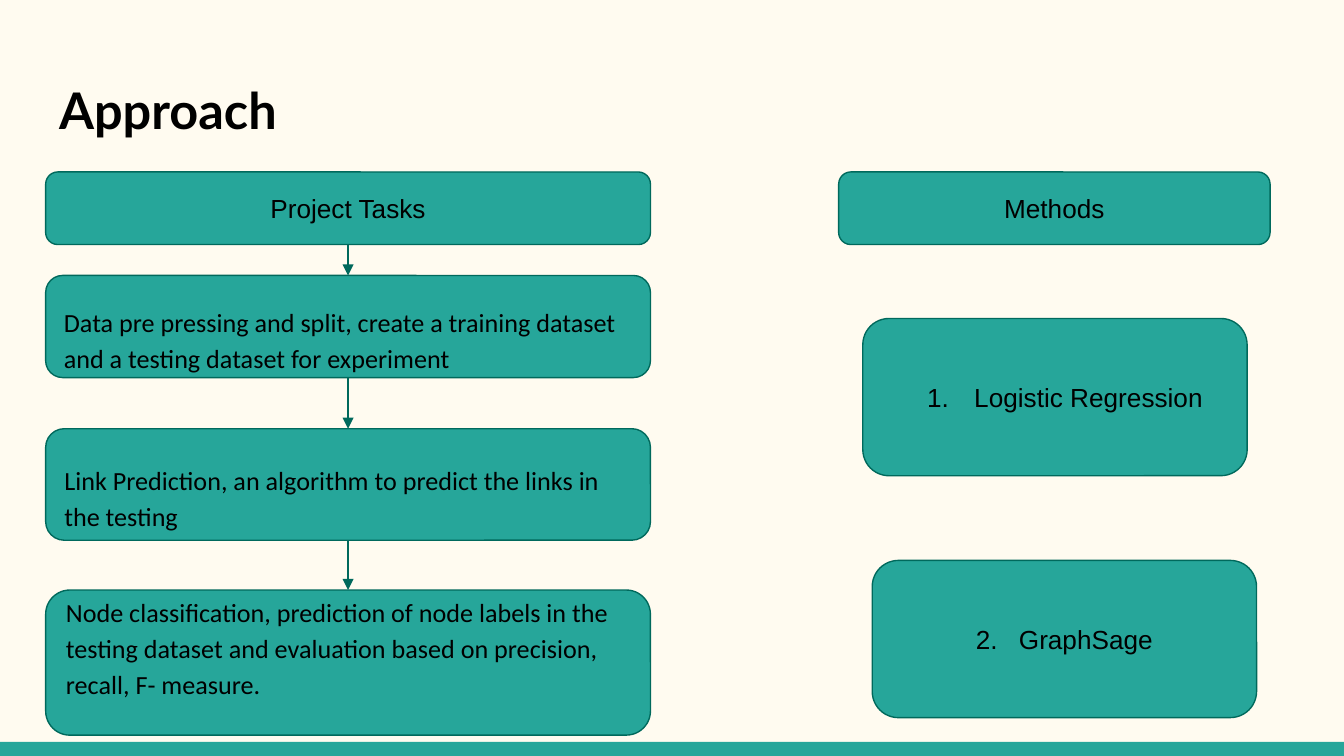
import pptx
import pptx.dml.color
import pptx.enum.shapes
import pptx.enum.text
import pptx.oxml.ns
import pptx.util
from lxml import etree

Inches = pptx.util.Inches
Pt = pptx.util.Pt
Align = pptx.enum.text.PP_ALIGN
Anchor = pptx.enum.text.MSO_ANCHOR
ShapeType = pptx.enum.shapes.MSO_SHAPE

COLORS = {
    "background": "FFFBF0",
    "teal": "26A69A",
    "outline": "00695C",
    "text": "000000",
}
TASK_LEFT, TASK_WIDTH = 0.34, 4.5
HEADER_TOP, HEADER_HEIGHT = 1.28, 0.54
TASKS = [
    (2.05, 0.76, 0.17, 0,
     "Data pre pressing and split, create a training dataset and a testing dataset for experiment"),
    (3.19, 0.83, 0.17, 0,
     "Link Prediction, an algorithm to predict the links in the testing"),
    (4.39, 1.08, 0, 0.25,
     "Node classification, prediction of node labels in the testing dataset and evaluation "
     "based on precision, recall, F- measure."),
]
METHODS = [
    (6.42, 2.37, 0.5, 0.35, "Logistic Regression"),
    (6.49, 4.17, 0.32, 0.32, "GraphSage"),
]


def rgb(name):
    return pptx.dml.color.RGBColor.from_string(COLORS[name])


def add_element(parent, tag, **attributes):
    return etree.SubElement(parent, pptx.oxml.ns.qn(tag), attributes)


def format_text(text_frame, font_name, size, align, anchor, inset_top=0.1,
                inset_bottom=0.1, bold=False):
    text_frame.word_wrap = True
    text_frame.vertical_anchor = anchor
    text_frame.margin_left = text_frame.margin_right = Inches(0.1)
    text_frame.margin_top = Inches(inset_top)
    text_frame.margin_bottom = Inches(inset_bottom)
    paragraph = text_frame.paragraphs[0]
    paragraph.alignment = align
    font = paragraph.runs[0].font
    font.name, font.size, font.bold = font_name, Pt(size), bold
    font.color.rgb = rgb("text")


def add_title(slide, text):
    title = slide.shapes.title
    title.left, title.top = Inches(0.34), Inches(0.49)
    title.width, title.height = Inches(9.32), Inches(0.67)
    title.text_frame.text = text
    title.text_frame.auto_size = pptx.enum.text.MSO_AUTO_SIZE.NONE
    format_text(title.text_frame, "Lato", 27, Align.LEFT, Anchor.TOP, bold=True)


def add_filled_shape(slide, shape_type, left, top, width, height):
    shape = slide.shapes.add_shape(
        shape_type, Inches(left), Inches(top), Inches(width), Inches(height))
    shape.shadow.inherit = False
    shape.fill.solid()
    shape.fill.fore_color.rgb = rgb("teal")
    return shape


def add_bar(slide):
    bar = add_filled_shape(slide, ShapeType.RECTANGLE, 0, 5.52, 10, 0.11)
    bar.line.fill.background()


def add_box(slide, left, top, width, height, text, font_name="Arial",
            align=Align.CENTER, inset_top=0.1, inset_bottom=0.1):
    box = add_filled_shape(
        slide, ShapeType.ROUNDED_RECTANGLE, left, top, width, height)
    box.line.color.rgb = rgb("outline")
    box.line.width = Pt(0.75)
    box.text_frame.text = text
    format_text(box.text_frame, font_name, 14, align, Anchor.MIDDLE,
                inset_top, inset_bottom)
    return box


def add_task(slide, top, height, inset_top, inset_bottom, text):
    box = add_box(slide, TASK_LEFT, top, TASK_WIDTH, height, text, "Calibri",
                  Align.LEFT, inset_top, inset_bottom)
    box.text_frame.paragraphs[0].line_spacing = 1.15
    return box


def add_method(slide, number, left, top, margin, hanging, text):
    box = add_box(slide, left, top, 2.86, 1.17, text)
    properties = box.text_frame.paragraphs[0]._p.get_or_add_pPr()
    properties.set("marL", str(Inches(margin)))
    properties.set("indent", str(-Inches(hanging)))
    bullet_color = add_element(properties, "a:buClr")
    add_element(bullet_color, "a:srgbClr", val=COLORS["text"])
    add_element(properties, "a:buFont", typeface="Arial")
    add_element(properties, "a:buAutoNum", type="arabicPeriod", startAt=str(number))


def add_arrow(slide, upper, lower):
    arrow = slide.shapes.add_connector(
        pptx.enum.shapes.MSO_CONNECTOR.STRAIGHT, 0, 0, 0, 0)
    arrow.begin_connect(upper, 2)
    arrow.end_connect(lower, 0)
    arrow.line.color.rgb = rgb("outline")
    arrow.line.width = Pt(0.75)
    add_element(arrow.line._get_or_add_ln(), "a:tailEnd", type="triangle")
    add_element(arrow._element.spPr, "a:effectLst")


def main():
    presentation = pptx.Presentation()
    presentation.slide_width = Inches(10)
    presentation.slide_height = Inches(10 * 9 / 16)
    slide = presentation.slides.add_slide(presentation.slide_layouts[5])
    slide.background.fill.solid()
    slide.background.fill.fore_color.rgb = rgb("background")

    add_bar(slide)
    add_title(slide, "Approach")

    flow = [add_box(slide, TASK_LEFT, HEADER_TOP, TASK_WIDTH, HEADER_HEIGHT,
                    "Project Tasks")]
    flow += [add_task(slide, *task) for task in TASKS]
    for upper, lower in zip(flow, flow[1:]):
        add_arrow(slide, upper, lower)

    add_box(slide, 6.24, HEADER_TOP, 3.21, HEADER_HEIGHT, "Methods")
    for number, method in enumerate(METHODS, start=1):
        add_method(slide, number, *method)

    presentation.save("out.pptx")


if __name__ == "__main__":
    main()
